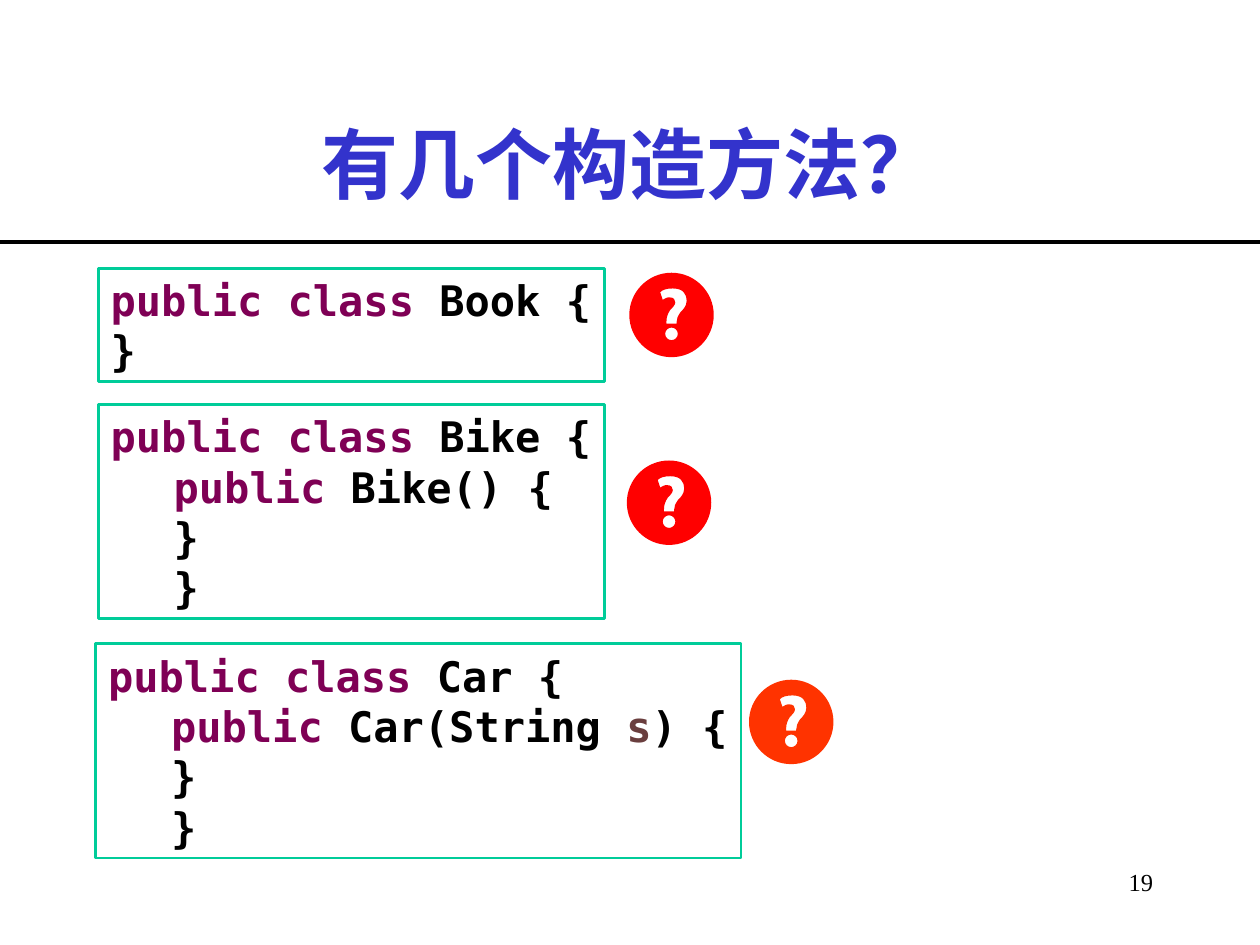
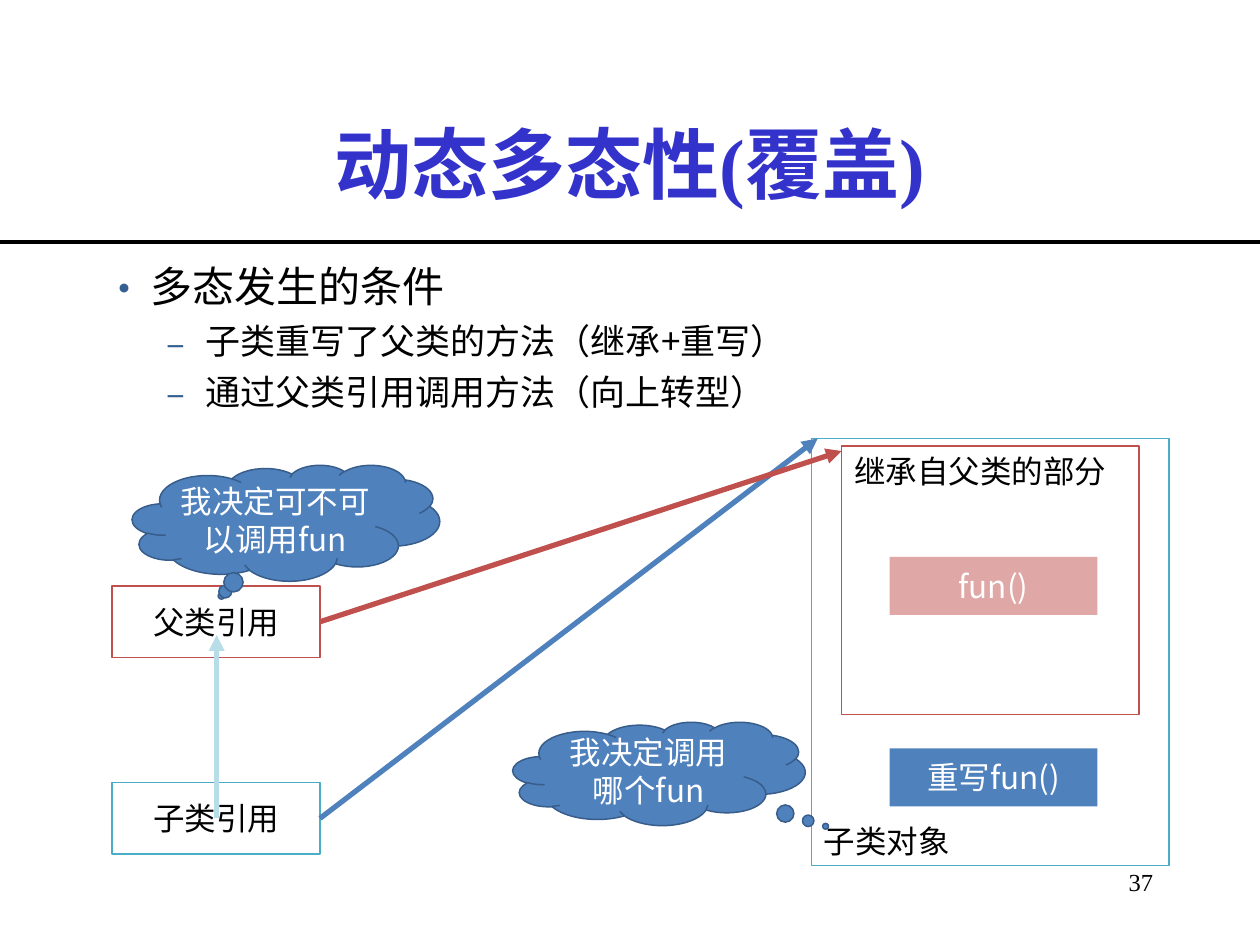
from dataclasses import dataclass
from typing import NamedTuple

from lxml import etree
from pptx import Presentation
from pptx import util as u
from pptx.dml.color import RGBColor
from pptx.enum import shapes, text
from pptx.oxml import ns

COLORS = {
    "title": "3333CC", "ink": "000000", "paper": "FFFFFF",
    "keyword": "7F0055", "argument": "6A3E3E", "code_frame": "00CC99",
    "red": "FF0000", "orange": "FF3300",
    "parent": "C0504D", "child": "4BACC6", "call": "4F81BD",
    "cloud_edge": "385D8A", "upcast": "B7DEE8", "bullet": "376092",
}
SERIF, SANS, MONO = "Times New Roman", "Noto Sans CJK SC", "DejaVu Sans Mono"
LEFT, CENTER, RIGHT = text.PP_ALIGN.LEFT, text.PP_ALIGN.CENTER, text.PP_ALIGN.RIGHT
TOP, MIDDLE, BOTTOM = (text.MSO_ANCHOR.TOP, text.MSO_ANCHOR.MIDDLE,
                       text.MSO_ANCHOR.BOTTOM)
RECT, CLOUD = shapes.MSO_SHAPE.RECTANGLE, shapes.MSO_SHAPE.CLOUD_CALLOUT
RIGHT_SIDE = 3


class Frame(NamedTuple):
    left: float
    top: float
    width: float
    height: float

    def lengths(self) -> list:
        return [u.Inches(value) for value in self]


@dataclass
class CodeBox:
    frame: Frame
    lines: list  # each line is a list of (words, colour) spans


@dataclass
class Badge:
    x: float
    y: float
    color: str


@dataclass
class Block:
    label: str
    frame: Frame
    fill: str = "paper"
    line: str | None = None
    ink: str = "ink"
    align: int = CENTER
    anchor: int = MIDDLE
    kind: int = RECT
    pointer: tuple = ()
    inset: tuple = (0.1, 0.05)
    alpha: int = 100


@dataclass
class Arrow:
    start: tuple
    end: tuple
    color: str
    source: str = ""  # label of the block whose right side it leaves


# ---- Shared helpers ----
def rgb(name: str) -> RGBColor:
    return RGBColor.from_string(COLORS[name])


def set_font(font, face: str, size: float, color: str, bold: bool = False) -> None:
    font.name, font.size, font.bold = face, u.Pt(size), bold
    font.color.rgb = rgb(color)


def set_paint(shape, fill: str | None, line: str | None, width: float = 0.85) -> None:
    shape.shadow.inherit = False
    if fill:
        shape.fill.solid()
        shape.fill.fore_color.rgb = rgb(fill)
    else:
        shape.fill.background()
    if line:
        shape.line.color.rgb = rgb(line)
        shape.line.width = u.Pt(width)
    else:
        shape.line.fill.background()


def add_line(page, start: tuple, end: tuple, color: str, width: float,
             arrow: bool = False):
    points = [u.Inches(value) for value in (*start, *end)]
    line = page.shapes.add_connector(shapes.MSO_CONNECTOR.STRAIGHT, *points)
    line.line.color.rgb = rgb(color)
    line.line.width = u.Pt(width)
    if arrow:
        etree.SubElement(line.line._get_or_add_ln(), ns.qn("a:tailEnd"), type="triangle")
    etree.SubElement(line._element.spPr, ns.qn("a:effectLst"))
    return line


def add_page(deck, title: str, number: int):
    """Page with number, title and the rule below it."""
    page = deck.slides.add_slide(deck.slide_layouts[5])
    box = page.shapes.add_textbox(*Frame(8.17, 6.83, 1.08, 0.5).lengths())
    box.text_frame.word_wrap = True
    para = box.text_frame.paragraphs[0]
    para.text, para.alignment = str(number), RIGHT
    set_font(para.font, SERIF, 14, "ink")

    heading = page.shapes.title
    heading.left, heading.top, heading.width, heading.height = Frame(
        0.75, 0.67, 8.5, 1.25).lengths()
    heading.text_frame.auto_size = text.MSO_AUTO_SIZE.NONE
    heading.text_frame.vertical_anchor = MIDDLE
    para = heading.text_frame.paragraphs[0]
    para.text, para.alignment = title, CENTER
    set_font(para.font, SERIF, 44, "title", True)

    add_line(page, (0, 1.92), (10, 1.92), "ink", 2.25)
    return page


# ---- Constructor slide ----
def add_code(page, code: CodeBox) -> None:
    box = page.shapes.add_shape(RECT, *code.frame.lengths())
    set_paint(box, None, "code_frame", 1.5)
    frame = box.text_frame
    frame.word_wrap = False
    frame.vertical_anchor = TOP
    frame.auto_size = text.MSO_AUTO_SIZE.SHAPE_TO_FIT_TEXT
    for index, spans in enumerate(code.lines):
        para = frame.add_paragraph() if index else frame.paragraphs[0]
        para.alignment = LEFT
        if index and len(code.lines) > 2:
            para.level = 1
            para._p.get_or_add_pPr().set("marL", str(u.Inches(0.5)))
            para._p.get_or_add_pPr().set("indent", "0")
        set_font(para.font, MONO, 24, "ink", True)
        for words, color in spans:
            span = para.add_run()
            span.text = words
            span.font.color.rgb = rgb(color)


def circle(x: float, y: float, radius: float) -> list:
    """Start point and four quarter curves."""
    pull = 0.55 * radius
    pieces = [[(x, y - radius)]]
    for dx, dy in ((0, -1), (-1, 0), (0, 1), (1, 0)):
        ex, ey = dy, -dx
        pieces.append([(x + radius * dx + pull * ex, y + radius * dy + pull * ey),
                       (x + radius * ex + pull * dx, y + radius * ey + pull * dy),
                       (x + radius * ex, y + radius * ey)])
    return pieces


# Question-mark hook around the badge centre: points, or curves of three points
HOOK = [
    [(0.07, -0.02)],
    [(0.05, 0.01), (0.04, 0.03), (0.04, 0.06)],
    [(0.04, 0.07)], [(-0.04, 0.07)], [(-0.04, 0.05)],
    [(-0.04, 0.02), (-0.03, -0.01), (-0.01, -0.04)],
    [(0.01, -0.06), (0.03, -0.08), (0.03, -0.1)],
    [(0.03, -0.12), (0.02, -0.14), (-0.02, -0.14)],
    [(-0.03, -0.14), (-0.06, -0.13), (-0.07, -0.12)],
    [(-0.09, -0.18)],
    [(-0.07, -0.2), (-0.04, -0.21), (0.01, -0.21)],
    [(0.09, -0.21), (0.12, -0.17), (0.12, -0.11)],
    [(0.12, -0.07), (0.09, -0.04), (0.07, -0.02)],
]
BADGE_OUTLINES = [circle(0, 0, 0.335), circle(0, 0.15, 0.05), HOOK]


def bend_segments(shape, pieces: list) -> None:
    """Join each run of three straight segments that stands for a curve."""
    segments = iter(list(shape._element.iter(ns.qn("a:lnTo"))))
    for piece in pieces:
        first, *rest = [next(segments) for _ in piece]
        if rest:
            first.tag = ns.qn("a:cubicBezTo")
            for segment in rest:
                first.append(segment[0])
                segment.getparent().remove(segment)


def add_badge(page, badge: Badge) -> None:
    """Disc with a dot and a hook cut out of it."""
    builder = None
    for outline in BADGE_OUTLINES:
        points = [(u.Inches(badge.x + x), u.Inches(badge.y + y))
                  for piece in outline for x, y in piece]
        if builder is None:
            builder = page.shapes.build_freeform(*points[0])
        else:
            builder.move_to(*points[0])
        builder.add_line_segments(points[1:], close=True)
    disc = builder.convert_to_shape()
    bend_segments(disc, [piece for outline in BADGE_OUTLINES for piece in outline[1:]])
    set_paint(disc, badge.color, None)


def class_line(name: str) -> list:
    return [("public class", "keyword"), (f" {name} {{", "ink")]


CLOSE = [("}", "ink")]
CODE_BOXES = [
    CodeBox(Frame(0.78, 2.13, 4.02, 0.9), [class_line("Book"), CLOSE]),
    CodeBox(Frame(0.76, 5.11, 5.12, 1.7), [
        class_line("Car"),
        [("public", "keyword"), (" Car(String ", "ink"), ("s", "argument"),
         (") {", "ink")],
        CLOSE, CLOSE]),
    CodeBox(Frame(0.78, 3.21, 4.02, 1.7), [
        class_line("Bike"), [("public", "keyword"), (" Bike() {", "ink")],
        CLOSE, CLOSE]),
]
BADGES = [Badge(5.33, 2.5, "red"), Badge(5.31, 3.99, "red"), Badge(6.28, 5.73, "orange")]


def build_constructors(deck) -> None:
    page = add_page(deck, "有几个构造方法？", 19)
    for code in CODE_BOXES:
        add_code(page, code)
    for badge in BADGES:
        add_badge(page, badge)


# ---- Polymorphism slide ----
# words, level, size, left margin, hanging indent, space before, bullet
CONDITIONS = [
    ("多态发生的条件", 0, 24, 0.38, 0.38, 0, "•"),
    ("子类重写了父类的方法（继承+重写）", 1, 20, 0.81, 0.31, 5, "–"),
    ("通过父类引用调用方法（向上转型）", 1, 20, 0.81, 0.31, 5, "–"),
]
BLOCKS = [
    Block("子类对象", Frame(6.44, 3.48, 2.84, 3.39), line="child", align=LEFT,
          anchor=BOTTOM),
    Block("继承自父类的部分", Frame(6.68, 3.54, 2.36, 2.13), line="parent", align=LEFT,
          anchor=TOP),
    Block("父类引用", Frame(0.89, 4.65, 1.65, 0.57), line="parent"),
    Block("子类引用", Frame(0.89, 6.21, 1.65, 0.57), line="child"),
]
ARROWS = [
    Arrow((2.54, 6.49), (6.49, 3.48), "call", "子类引用"),
    Arrow((1.72, 6.49), (1.72, 5.04), "upcast"),
    Arrow((2.54, 4.93), (6.68, 3.58), "parent", "父类引用"),
]
METHODS_AND_CLOUDS = [
    Block("fun()", Frame(7.06, 4.42, 1.65, 0.46), "parent", ink="paper", alpha=50),
    Block("重写fun()", Frame(7.06, 5.94, 1.65, 0.46), "call", ink="paper"),
    Block("我决定可不可以调用fun", Frame(1.05, 3.69, 2.44, 0.92), "call", "cloud_edge",
          "paper", kind=CLOUD, pointer=(-0.21, 0.63), inset=(0.04, 0.04)),
    Block("我决定调用哪个fun", Frame(4.07, 5.73, 2.32, 0.82), "call", "cloud_edge",
          "paper", kind=CLOUD, pointer=(0.57, 0.51)),
]


def add_conditions(page) -> None:
    box = page.shapes.add_textbox(*Frame(0.72, 2.02, 8.5, 4.5).lengths())
    frame = box.text_frame
    frame.word_wrap = True
    for index, (words, level, size, margin, hang, before, mark) in enumerate(CONDITIONS):
        para = frame.add_paragraph() if index else frame.paragraphs[0]
        para.text, para.level, para.space_before = words, level, u.Pt(before)
        props = para._p.get_or_add_pPr()
        props.set("marL", str(u.Inches(margin)))
        props.set("indent", str(-u.Inches(hang)))
        tint = etree.SubElement(props, ns.qn("a:buClr"))
        etree.SubElement(tint, ns.qn("a:srgbClr"), val=COLORS["bullet"])
        etree.SubElement(props, ns.qn("a:buFont"), typeface=SANS)
        etree.SubElement(props, ns.qn("a:buChar"), char=mark)
        set_font(para.font, SANS, size, "ink")


def add_block(page, block: Block):
    shape = page.shapes.add_shape(block.kind, *block.frame.lengths())
    set_paint(shape, block.fill, block.line)
    for index, value in enumerate(block.pointer):
        shape.adjustments[index] = value
    if block.alpha < 100:
        color = shape._element.spPr.find(f"{ns.qn('a:solidFill')}/{ns.qn('a:srgbClr')}")
        etree.SubElement(color, ns.qn("a:alpha"), val=str(block.alpha * 1000))
    frame = shape.text_frame
    frame.word_wrap, frame.vertical_anchor = True, block.anchor
    side, edge = (u.Inches(value) for value in block.inset)
    frame.margin_left = frame.margin_right = side
    frame.margin_top = frame.margin_bottom = edge
    para = frame.paragraphs[0]
    para.text, para.alignment = block.label, block.align
    set_font(para.font, SANS, 18, block.ink)
    return shape


def build_polymorphism(deck) -> None:
    page = add_page(deck, "动态多态性(覆盖)", 37)
    add_conditions(page)
    placed = {block.label: add_block(page, block) for block in BLOCKS}
    for arrow in ARROWS:
        line = add_line(page, arrow.start, arrow.end, arrow.color, 3, arrow=True)
        if arrow.source:
            line.begin_connect(placed[arrow.source], RIGHT_SIDE)
    for block in METHODS_AND_CLOUDS:
        add_block(page, block)


deck = Presentation()
deck.slide_width, deck.slide_height = u.Inches(10), u.Inches(7.5)
build_constructors(deck)
build_polymorphism(deck)
deck.save("out.pptx")
